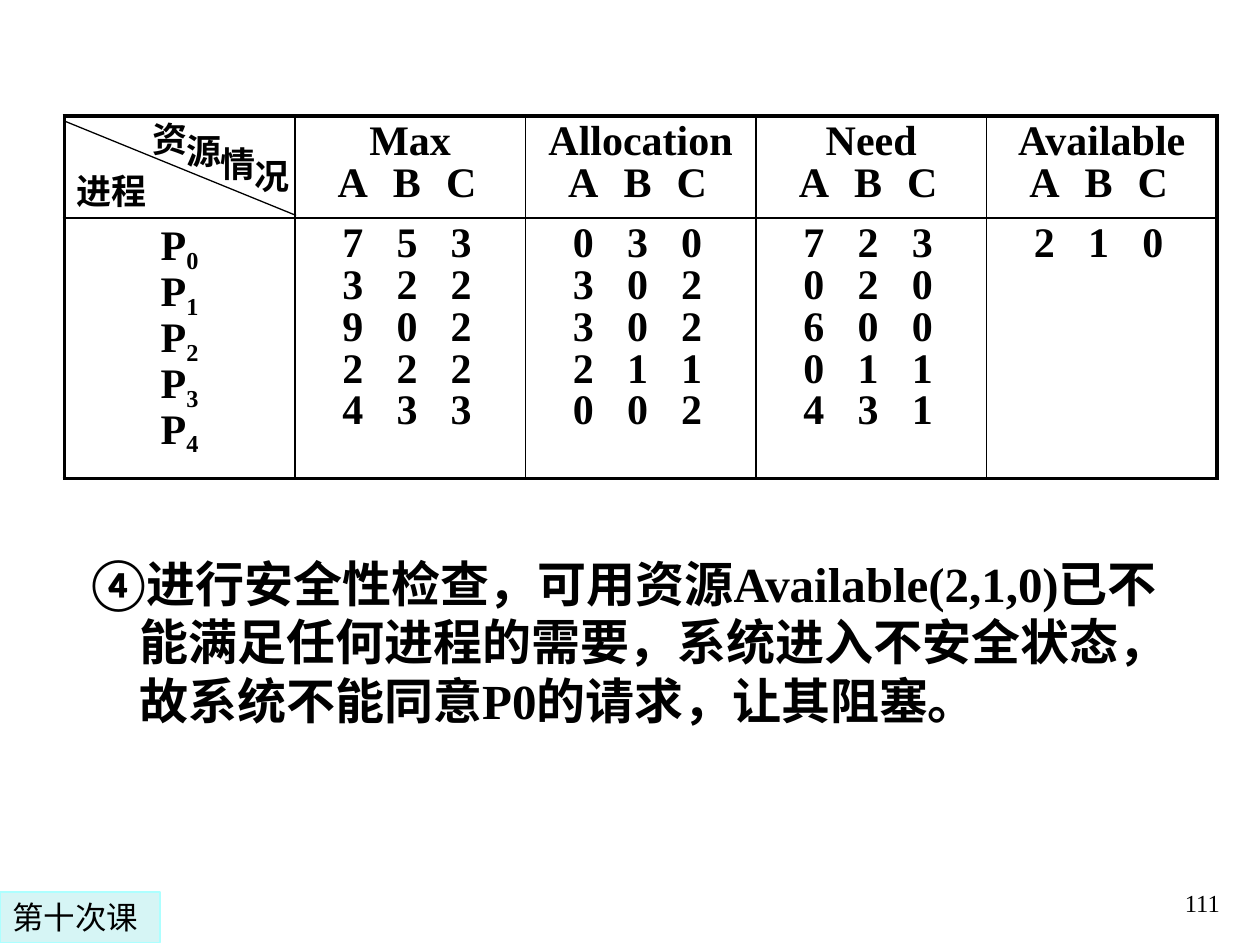
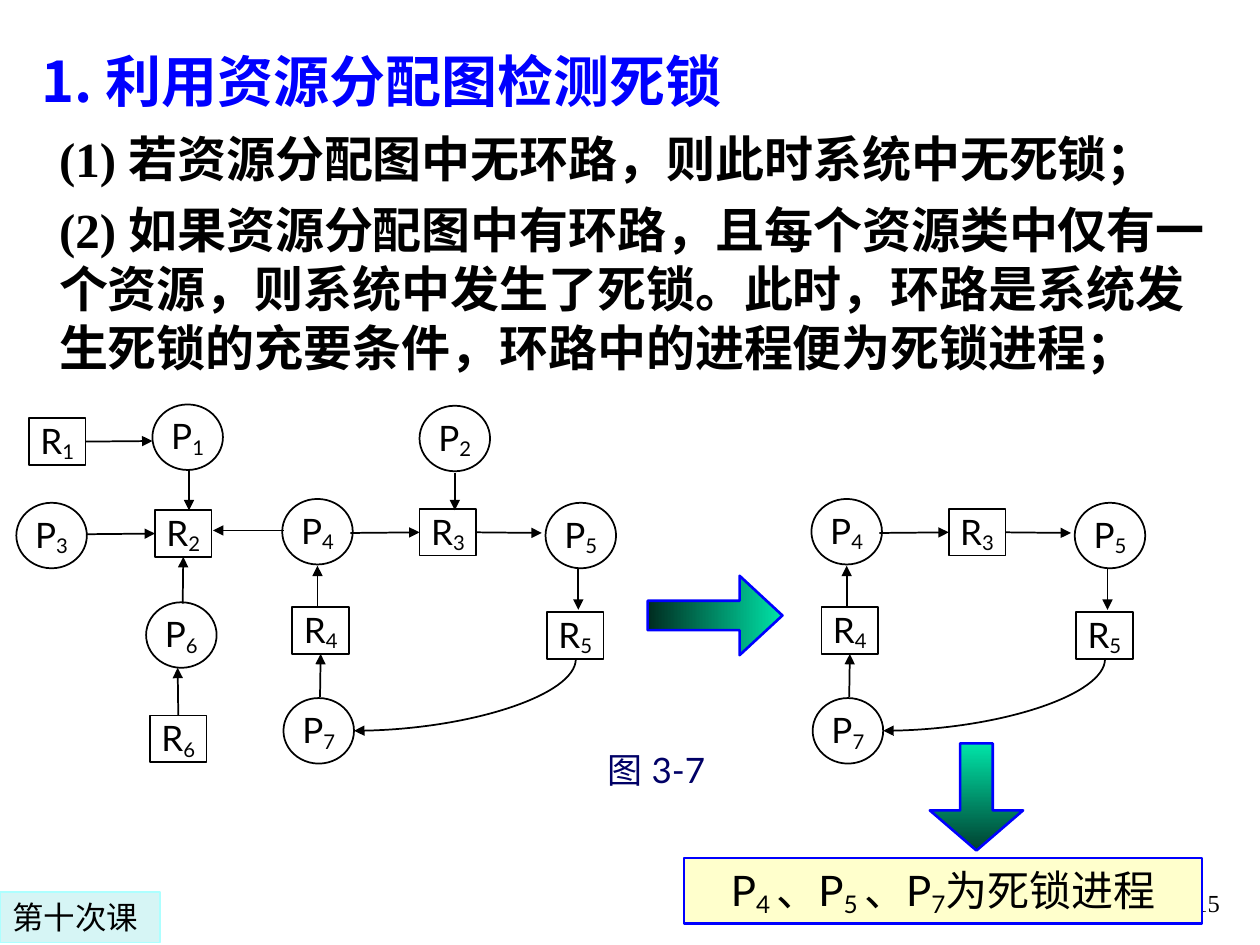
from dataclasses import dataclass

from lxml.etree import SubElement
from pptx import Presentation
from pptx.dml.color import RGBColor
from pptx.enum.shapes import MSO_CONNECTOR, MSO_SHAPE
from pptx.enum.text import MSO_ANCHOR, MSO_AUTO_SIZE, PP_ALIGN
from pptx.oxml.ns import qn
from pptx.util import Emu, Pt

STRAIGHT, CURVE = MSO_CONNECTOR.STRAIGHT, MSO_CONNECTOR.CURVE
RECTANGLE, OVAL = MSO_SHAPE.RECTANGLE, MSO_SHAPE.OVAL
RIGHT_ARROW, DOWN_ARROW = MSO_SHAPE.RIGHT_ARROW, MSO_SHAPE.DOWN_ARROW
LEFT, CENTER, RIGHT, JUSTIFY = (PP_ALIGN.LEFT, PP_ALIGN.CENTER,
                                PP_ALIGN.RIGHT, PP_ALIGN.JUSTIFY)
TOP, MIDDLE, BOTTOM = MSO_ANCHOR.TOP, MSO_ANCHOR.MIDDLE, MSO_ANCHOR.BOTTOM
NO_AUTOFIT = MSO_AUTO_SIZE.NONE
TITLE_ONLY, BLANK = 5, 6
SCALE = 9144  # EMU per px, 100 px to the inch


def px(length):
    return Emu(int(length * SCALE))


@dataclass(frozen=True)
class Theme:
    ink: str = "000000"
    paper: str = "FFFFFF"
    blue: str = "0000FF"
    navy: str = "000066"
    callout: str = "FFFFCC"
    tag: str = "D6F5F5"
    tag_line: str = "ADFFFF"
    mint: str = "00E4A8"
    dark_start: str = "002C20"
    dark_end: str = "004130"
    serif: str = "Times New Roman"
    sans: str = "Lato"
    heading: str = "Noto Sans CJK SC"
    tag_font: str = "DejaVu Sans"
    title_size: int = 32
    body_size: int = 28
    table_size: int = 24
    label_size: int = 20
    tag_size: int = 18
    number_size: int = 14


class Builder:
    def __init__(self, theme):
        self.theme = theme
        self.deck = Presentation()
        self.deck.slide_width, self.deck.slide_height = px(1000), px(750)
        self.page = None

    def new_page(self, number, title=None):
        layout = self.deck.slide_layouts[BLANK if title is None else TITLE_ONLY]
        self.page = self.deck.slides.add_slide(layout)
        theme = self.theme
        if title is not None:
            box = self.page.shapes.title
            box.left, box.top, box.width, box.height = map(px, (23, 32, 923, 64))
            self.set_text(box.text_frame, [title], theme.title_size, theme.heading,
                          theme.blue, bold=True, east=theme.heading)
        self.text((770, 683, 208, 50), [number], theme.number_size, theme.serif,
                  align=RIGHT, anchor=BOTTOM)
        self.shape(RECTANGLE, (0, 708, 127, 40), theme.tag, theme.tag_line, 0.75,
                   ["第十次课"], theme.tag_size, theme.tag_font)

    def set_text(self, frame, lines, size, font, color=None, bold=False, align=LEFT,
                 anchor=TOP, wrap=True, drop=-20, line_spacing=None,
                 space_before=0, number_from=None, tabs=(), east=None):
        """Fill a frame; pieces between bars are subscripts."""
        frame.word_wrap, frame.vertical_anchor = wrap, anchor
        frame.auto_size = NO_AUTOFIT
        for index, line in enumerate(lines):
            para = frame.paragraphs[0] if index == 0 else frame.add_paragraph()
            for place, piece in enumerate(line.split("|")):
                if piece:
                    span = para.add_run()
                    span.text = piece
                    if place % 2:
                        span._r.get_or_add_rPr().set("baseline", str(drop * 1000))
            para.alignment = LEFT if "\t" in line else align
            if line_spacing:
                para.line_spacing = line_spacing
            if index and space_before:
                para.space_before = Pt(space_before)
            self.add_marks(para, number_from, tabs if "\t" in line else ())
            para.font.size, para.font.bold, para.font.name = Pt(size), bold, font
            para.font.color.rgb = RGBColor.from_string(color or self.theme.ink)
            SubElement(para.font._rPr, qn("a:ea"), typeface=east or self.theme.sans)

    def add_marks(self, para, number_from, tabs):
        """Add a circled number and centred tab stops."""
        props = para._p.get_or_add_pPr()
        if number_from:
            props.set("marL", str(px(38)))
            props.set("indent", str(px(-38)))
            SubElement(props, qn("a:buAutoNum"), type="circleNumDbPlain",
                       startAt=str(number_from))
        if tabs:
            stops = SubElement(props, qn("a:tabLst"))
            for stop in tabs:
                SubElement(stops, qn("a:tab"), pos=str(px(stop)), algn="ctr")

    def text(self, at, lines, size, font, **style):
        box = self.page.shapes.add_textbox(*map(px, at))
        self.set_text(box.text_frame, lines, size, font, **style)

    def shape(self, kind, at, fill, line, weight, lines=(), size=None, font=None,
              insets=None, **style):
        shape = self.page.shapes.add_shape(kind, *map(px, at))
        shape.shadow.inherit = False
        if fill:
            shape.fill.solid()
            shape.fill.fore_color.rgb = RGBColor.from_string(fill)
        else:
            shape.fill.background()
        shape.line.color.rgb = RGBColor.from_string(line)
        shape.line.width = Pt(weight)
        frame = shape.text_frame
        if insets:
            frame.margin_left = frame.margin_right = px(insets[0])
            frame.margin_top = frame.margin_bottom = px(insets[1])
        self.set_text(frame, lines, size, font, **style)
        return shape

    def block_arrow(self, kind, at, adjustments, colors, angle):
        arrow = self.shape(kind, at, None, self.theme.blue, 1.5)
        for index, value in enumerate(adjustments):
            arrow.adjustments[index] = value
        arrow.fill.gradient()
        arrow.fill.gradient_angle = angle
        for stop, color, position in zip(arrow.fill.gradient_stops, colors, (0, 1)):
            stop.color.rgb = RGBColor.from_string(color)
            stop.position = position

    def line(self, start, end, weight=1, arrow=True, kind=STRAIGHT):
        line = self.page.shapes.add_connector(kind, *map(px, (*start, *end)))
        line.line.color.rgb = RGBColor.from_string(self.theme.ink)
        line.line.width = Pt(weight)
        if arrow:
            SubElement(line.line._get_or_add_ln(), qn("a:tailEnd"), type="triangle")
        SubElement(line._element.spPr, qn("a:effectLst"))
        return line

    def quarter_curve(self, start, end):
        """Arrow that leaves downwards and arrives leftwards."""
        (x1, y1), (x2, y2) = start, end
        middle_x, middle_y = (x1 + x2) / 2, (y1 + y2) / 2
        half_w, half_h = (y2 - y1) / 2, (x1 - x2) / 2
        curve = self.line((middle_x - half_w, middle_y - half_h),
                          (middle_x + half_w, middle_y + half_h), kind=CURVE)
        props = curve._element.spPr
        props.find(qn("a:xfrm")).set("rot", "5400000")
        props.find(qn("a:prstGeom")).set("prst", "curvedConnector2")

    def table(self, at, widths, heights, rows, **style):
        theme = self.theme
        table = self.page.shapes.add_table(len(rows), len(widths),
                                           *map(px, at)).table
        table.first_row = table.horz_banding = False
        for column, width in zip(table.columns, widths):
            column.width = px(width)
        for row, height in zip(table.rows, heights):
            row.height = px(height)
        last_row, last_column = len(rows) - 1, len(widths) - 1
        for r, row in enumerate(rows):
            for c, lines in enumerate(row):
                cell = table.cell(r, c)
                self.borders(cell, {"L": c == 0, "R": c == last_column,
                                    "T": r == 0, "B": r == last_row})
                cell.fill.solid()
                cell.fill.fore_color.rgb = RGBColor.from_string(theme.paper)
                self.set_text(cell.text_frame, lines, theme.table_size, theme.serif,
                              bold=True, align=CENTER, **style)

    def borders(self, cell, outer):
        props = cell._tc.get_or_add_tcPr()
        for side, is_outer in outer.items():
            edge = SubElement(props, qn("a:ln" + side),
                              w=str(Pt(2.25 if is_outer else 1)))
            fill = SubElement(edge, qn("a:solidFill"))
            SubElement(fill, qn("a:srgbClr"), val=self.theme.ink)

    def graph(self, nodes, arrows, curve, shift=0):
        """Circles for processes, squares for resources, and their arrows."""
        theme, squares = self.theme, []
        for name, (left, top) in nodes.items():
            is_square = name[0] == "R"
            kind, size = (RECTANGLE, (45, 37)) if is_square else (OVAL, (56, 52))
            node = self.shape(kind, (left + shift, top, *size), None, theme.ink, 1,
                              [f"{name[0]}|{name[1]}"], theme.label_size, theme.sans,
                              insets=(6, 1), align=CENTER, anchor=MIDDLE,
                              wrap=False, drop=-16)
            if is_square:
                squares.append(node)
        for x1, y1, x2, y2 in arrows:
            start, end = (x1 + shift, y1), (x2 + shift, y2)
            arrow = self.line(start, end)
            for square in squares:
                self.join(arrow.begin_connect, square, start)
                self.join(arrow.end_connect, square, end)
        self.quarter_curve(*((x + shift, y) for x, y in curve))

    def join(self, connect, square, point):
        """Join an arrow's end to the side whose middle it touches."""
        left, top, width, height = square.left, square.top, square.width, square.height
        sides = ((left + width / 2, top), (left, top + height / 2),
                 (left + width / 2, top + height), (left + width, top + height / 2))
        for site, (x, y) in enumerate(sides):
            if max(abs(x - px(point[0])), abs(y - px(point[1]))) <= px(2):
                connect(square, site)


# Content of the resource table
def triples(*rows):
    return ["\t" + "\t".join(row) for row in rows]


HEADS = ["Max", "Allocation", "Need", "Available"]
TABLE_ROWS = [
    [[]] + [[head, *triples("ABC")] for head in HEADS],
    [[f"P|{i}|" for i in range(5)],
     triples("753", "322", "902", "222", "433"),
     triples("030", "302", "302", "211", "002"),
     triples("723", "020", "600", "011", "431"),
     triples("210")],
]

# Resource graph: the deadlocked cycle, then the rest
CYCLE = {"P4": (224, 396), "P5": (433, 399), "R3": (333, 404), "R4": (232, 482),
         "R5": (434, 486), "P7": (225, 554)}
CYCLE_ARROWS = [(252, 482, 252, 449), (278, 423, 333, 423), (254, 553, 254, 520),
                (378, 423, 430, 423), (459, 451, 459, 484)]
CYCLE_CURVE = ((457, 523), (281, 580))
OTHERS = {"R1": (23, 332), "P1": (121, 321), "R2": (123, 405), "P2": (333, 322),
          "P3": (13, 399), "P6": (116, 478), "R6": (119, 568)}
OTHER_ARROWS = [(67, 350, 121, 350), (150, 373, 150, 405), (69, 424, 122, 424),
                (145, 479, 145, 443), (225, 421, 169, 421), (141, 568, 141, 530),
                (361, 375, 361, 405)]


def table_page(build):
    theme = build.theme
    build.new_page("111")
    build.text((63, 434, 882, 151),
               ["进行安全性检查，可用资源Available(2,1,0)已不能满足任何进程的需要，"
                "系统进入不安全状态，故系统不能同意P0的请求，让其阻塞。"],
               theme.body_size, theme.serif, bold=True, number_from=4)
    build.table((51, 92, 915, 288), [183] * 5, [81, 207], TABLE_ROWS,
                tabs=(36, 79, 122), line_spacing=0.9)
    # Split corner cell
    build.line((51, 96), (235, 171), 0.75, arrow=False)
    corner = [("进程", 51, 130, 92)]
    corner += [(word, 111 + 27 * i, 88 + 10 * i, 51) for i, word in enumerate("资源情况")]
    for word, left, top, width in corner:
        build.text((left, top, width, 44), [word], theme.label_size, theme.sans,
                   bold=True, align=JUSTIFY)


def graph_page(build):
    theme = build.theme
    build.new_page("115", "1. 利用资源分配图检测死锁")
    build.text((37, 97, 942, 210),
               ["(1) 若资源分配图中无环路，则此时系统中无死锁；",
                "(2) 如果资源分配图中有环路，且每个资源类中仅有一个资源，则系统中发生了死锁。"
                "此时，环路是系统发生死锁的充要条件，环路中的进程便为死锁进程；"],
               theme.body_size, theme.serif, bold=True, space_before=7)
    # Full graph and its reduced form
    build.graph({**CYCLE, **OTHERS}, CYCLE_ARROWS + OTHER_ARROWS, CYCLE_CURVE)
    build.graph(CYCLE, CYCLE_ARROWS, CYCLE_CURVE, shift=420)
    # Steps and conclusion
    build.block_arrow(RIGHT_ARROW, (514, 457, 107, 63), (0.37, 0.54),
                      (theme.dark_start, theme.mint), 0)
    build.shape(RECTANGLE, (543, 681, 411, 52), theme.callout, theme.blue, 1.5,
                ["P|4 |、P|5 |、P|7|为死锁进程"], theme.table_size, theme.sans,
                align=CENTER, drop=-16)
    build.text((430, 589, 182, 43), ["图 3-7"], theme.label_size, theme.sans,
               color=theme.navy, align=CENTER)
    build.block_arrow(DOWN_ARROW, (738, 590, 74, 85), (0.35, 0.43),
                      (theme.mint, theme.dark_end), 270)


def main():
    build = Builder(Theme())
    table_page(build)
    graph_page(build)
    build.deck.save("out.pptx")


if __name__ == "__main__":
    main()
